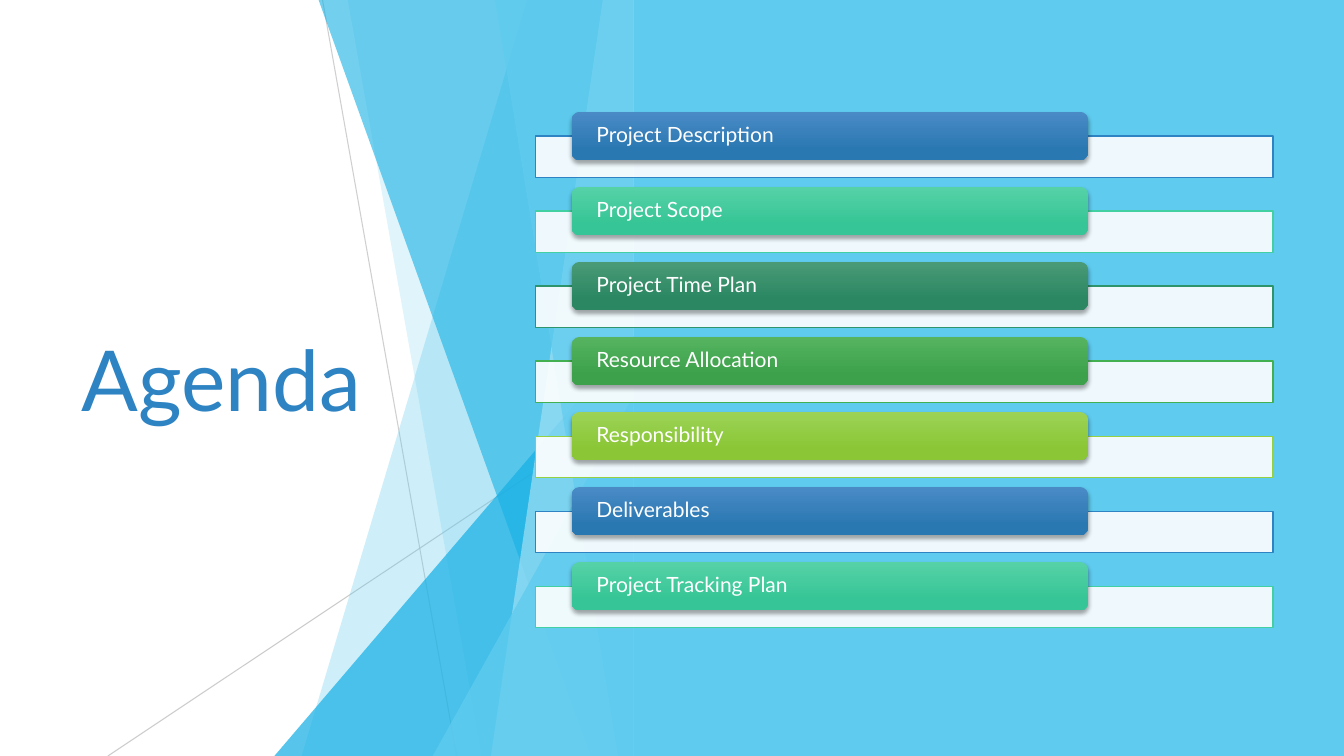
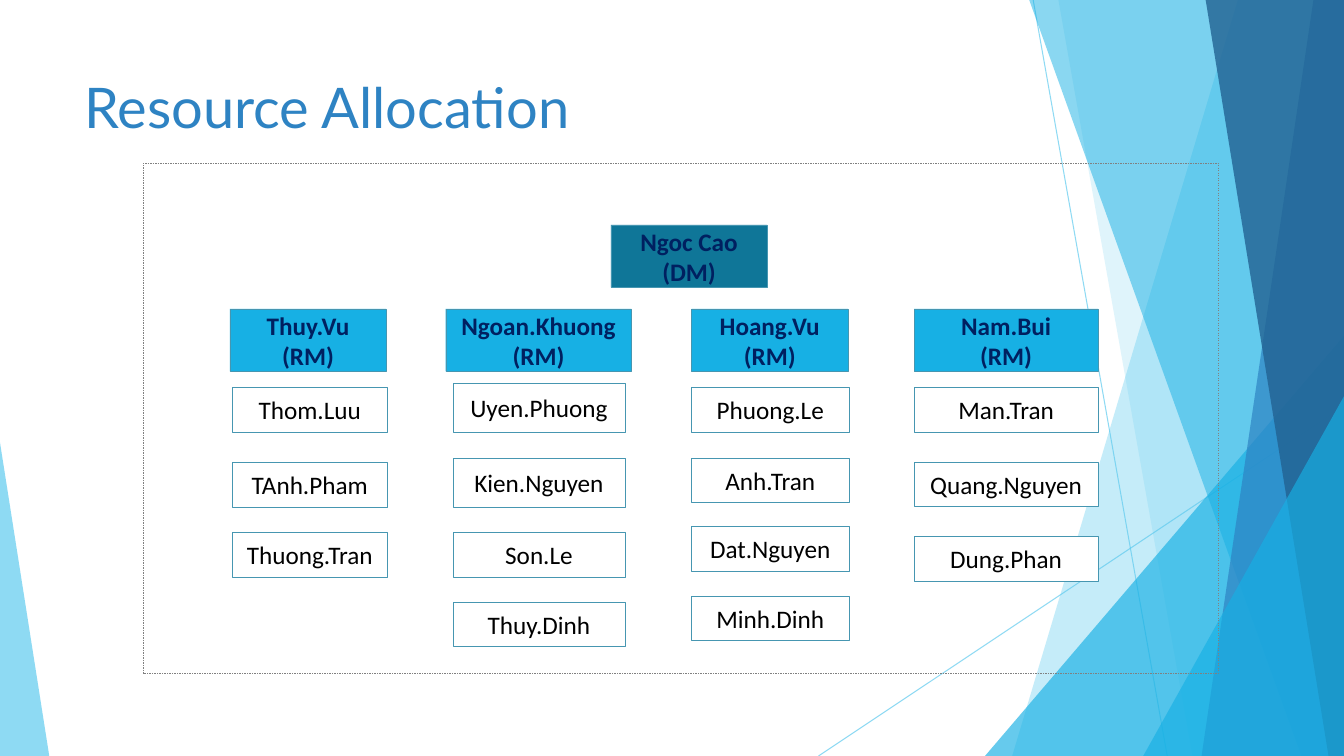
from lxml import etree
from pptx import Presentation
from pptx import util as u
from pptx.dml.color import RGBColor
from pptx.enum import dml, shapes, text
from pptx.oxml.ns import qn

Pt = u.Pt
W, H = 960, 540

# Colours
WHITE = RGBColor(0xFF, 0xFF, 0xFF)
BLACK = RGBColor(0, 0, 0)
GREY = RGBColor(0x80, 0x80, 0x80)
SILVER = RGBColor(0xBF, 0xBF, 0xBF)
SKY = RGBColor(0x5F, 0xCB, 0xEF)
PALE = RGBColor(0x9F, 0xE0, 0xF5)
CYAN = RGBColor(0x17, 0xB0, 0xE4)
BLUE = RGBColor(0x2E, 0x83, 0xC3)
DEEP = RGBColor(0x22, 0x62, 0x92)
TEAL = RGBColor(0x0F, 0x76, 0x98)
EDGE = RGBColor(0x46, 0x96, 0xB1)
NAVY = RGBColor(0, 0x20, 0x60)

# Agenda bars: outline, gradient top, gradient bottom
BAR_COLORS = [
    (BLUE, RGBColor(0x4A, 0x8B, 0xC6), RGBColor(0x2A, 0x78, 0xB2)),
    (RGBColor(0x42, 0xD0, 0xA2), RGBColor(0x56, 0xD2, 0xA7), RGBColor(0x36, 0xC5, 0x96)),
    (RGBColor(0x2E, 0x94, 0x6B), RGBColor(0x4A, 0x9A, 0x76), RGBColor(0x2A, 0x87, 0x62)),
    (RGBColor(0x42, 0xB0, 0x51), RGBColor(0x56, 0xB4, 0x61), RGBColor(0x3C, 0xA1, 0x4A)),
    (RGBColor(0x96, 0xD1, 0x41), RGBColor(0x9C, 0xD3, 0x56), RGBColor(0x8A, 0xC6, 0x35)),
]

RECT = shapes.MSO_SHAPE.RECTANGLE
ROUND = shapes.MSO_SHAPE.ROUNDED_RECTANGLE
TRIANGLE = shapes.MSO_SHAPE.ISOSCELES_TRIANGLE
LEFT, CENTER = text.PP_ALIGN.LEFT, text.PP_ALIGN.CENTER
TOP, MIDDLE = text.MSO_ANCHOR.TOP, text.MSO_ANCHOR.MIDDLE


def set_alpha(holder, percent):
    color = holder.find(qn("a:solidFill"))[0]
    etree.SubElement(color, qn("a:alpha"), val=str(percent * 1000))


class Deck:
    """Holds the presentation, its style and the current slide."""
    head_font, body_font = "Lato", "Calibri"

    def __init__(self):
        self.prs = Presentation()
        self.prs.slide_width, self.prs.slide_height = Pt(W), Pt(H)

    def new_slide(self):
        self.s = self.prs.slides.add_slide(self.prs.slide_layouts[5])

    def add_lines(self, tf, lines, font, size, color, bold=False, align=LEFT, anchor=MIDDLE):
        tf.word_wrap = True
        tf.auto_size = text.MSO_AUTO_SIZE.NONE
        tf.vertical_anchor = anchor
        for i, line in enumerate(lines):
            p = tf.add_paragraph() if i else tf.paragraphs[0]
            p.alignment = align
            r = p.add_run()
            r.text = line
            r.font.name, r.font.size, r.font.bold = font, Pt(size), bold
            r.font.color.rgb = color

    def title(self, words, x, y, w, h, size, anchor):
        sp = self.s.shapes.title
        sp.left, sp.top, sp.width, sp.height = Pt(x), Pt(y), Pt(w), Pt(h)
        self.add_lines(sp.text_frame, [words], self.head_font, size, BLUE, anchor=anchor)
        sp.element.getparent().append(sp.element)  # bring above the facets

    def paint(self, sp, fill=None, alpha=100, line=None, width=0.25):
        sp.shadow.inherit = False
        if fill is None:
            sp.fill.background()
        else:
            sp.fill.solid()
            sp.fill.fore_color.rgb = fill
            if alpha < 100:
                set_alpha(sp.element.spPr, alpha)
        if line is None:
            sp.line.fill.background()
        else:
            sp.line.color.rgb = line
            sp.line.width = Pt(width)
        return sp

    def shape(self, kind, x, y, w, h, **look):
        sp = self.s.shapes.add_shape(kind, Pt(x), Pt(y), Pt(w), Pt(h))
        return self.paint(sp, **look)

    def triangle(self, x, y, w, h, apex, fill, alpha):
        sp = self.shape(TRIANGLE, x, y, w, h, fill=fill, alpha=alpha)
        sp.adjustments[0] = apex

    def band(self, top_x, bottom_x, right, fill, alpha):
        points = [(right, 0), (right, H), (bottom_x, H)]
        fb = self.s.shapes.build_freeform(Pt(top_x), 0, scale=1.0)
        fb.add_line_segments([(Pt(x), Pt(y)) for x, y in points], close=True)
        self.paint(fb.convert_to_shape(), fill=fill, alpha=alpha)

    def line(self, x1, y1, x2, y2, color, alpha):
        c = self.s.shapes.add_connector(
            shapes.MSO_CONNECTOR.STRAIGHT, Pt(x1), Pt(y1), Pt(x2), Pt(y2))
        c.line.color.rgb, c.line.width = color, Pt(0.75)
        spPr = c.element.spPr
        set_alpha(spPr.find(qn("a:ln")), alpha)
        etree.SubElement(spPr, qn("a:effectLst"))

    def facets(self, right, lines, fills):
        """Slanted backdrop ending at right; looks are (colour, alpha) pairs."""
        d = right - W
        self.line(738 + d, 0, 833.76 + d, H, *lines[0])
        self.line(right, 290, 584.64 + d, H, *lines[1])
        self.band(884.2 + d, 723 + d, right, *fills[0])
        self.band(756 + d, 851.8 + d, right, *fills[1])
        self.triangle(703.6 + d, 239.8, 256.4, 300.2, 1, *fills[2])
        self.band(735.2 + d, 929.5 + d, right, *fills[3])
        self.band(938.2 + d, 858.3 + d, right, *fills[4])
        self.band(861.2 + d, 949 + d, right, *fills[5])
        self.triangle(816.6 + d, 283, 143.4, 257, 1, *fills[6])

    def agenda_bar(self, y, label, outline, top, bottom):
        self.shape(RECT, 382.4, y + 17.4, 527, 29.6, fill=WHITE, alpha=90,
                   line=outline, width=1)
        sp = self.shape(ROUND, 408.4, y, 368.8, 34.6)
        sp.fill.gradient()
        sp.fill.gradient_angle = 270
        for stop, color, position in zip(sp.fill.gradient_stops, (top, bottom), (0, 0.78)):
            stop.color.rgb, stop.position = color, position
        shadow = etree.SubElement(
            sp.element.spPr.find(qn("a:effectLst")), qn("a:outerShdw"),
            blurRad=str(int(Pt(3))), dist=str(int(Pt(2))), dir="5400000", rotWithShape="0")
        color = etree.SubElement(shadow, qn("a:srgbClr"), val=str(BLACK))
        etree.SubElement(color, qn("a:alpha"), val="35000")
        tf = sp.text_frame
        tf.margin_left = tf.margin_right = Pt(16)
        tf.margin_top = tf.margin_bottom = 0
        self.add_lines(tf, [label], self.head_font, 15, WHITE)
        tf.paragraphs[0].line_spacing = 0.9

    def person(self, x, y, w, h, lines, fill=WHITE, color=BLACK, bold=False):
        sp = self.shape(RECT, x, y, w, h, fill=fill, line=EDGE)
        self.add_lines(sp.text_frame, lines, self.body_font, 18, color, bold, CENTER)

    def lead(self, x, y, w, lines, fill=CYAN):
        self.person(x, y, w, 44.8, lines, fill, NAVY, True)


deck = Deck()

# Slide 1: agenda
PANEL_X = 452.4
deck.new_slide()
deck.facets(PANEL_X, [(SILVER, 75), (SILVER, 80)],
            [(SKY, 30), (SKY, 20), (CYAN, 72), (CYAN, 60), (PALE, 70), (SKY, 65), (SKY, 80)])
deck.title("Agenda", 51, 108.6, 279.4, 322.6, 60, MIDDLE)
deck.shape(RECT, PANEL_X, 0, W - PANEL_X, H, fill=SKY)
topics = ["Project Description", "Project Scope", "Project Time Plan",
          "Resource Allocation", "Responsibility", "Deliverables",
          "Project Tracking Plan"]
for i, topic in enumerate(topics):
    deck.agenda_bar(79.8 + 53.6 * i, topic, *BAR_COLORS[i % len(BAR_COLORS)])

# Slide 2: resource allocation
deck.new_slide()
deck.facets(W, [(SKY, 70), (SKY, 70)],
            [(SKY, 36), (SKY, 20), (CYAN, 66), (CYAN, 50), (BLUE, 70), (DEEP, 80), (CYAN, 66)])
deck.triangle(0, 316, 35.2, 224, 0, SKY, 70)
deck.title("Resource Allocation", 53.2, 48.2, 676.8, 71.2, 40, TOP)
frame = deck.shape(RECT, 102.2, 116.6, 768.2, 364.4, line=GREY)
frame.line.dash_style = dml.MSO_LINE.DASH
deck.lead(436.4, 160.6, 111.6, ["Ngoc Cao", "(DM)"], TEAL)

# Teams: lead (x, width, lines), members (x, width, then name, top, height)
teams = [
    ((164.2, 111.6, ["Thuy.Vu (RM)"]), (166, 110.6,
     [("Thom.Luu", 276.5, 32.2), ("TAnh.Pham", 329.8, 32.2), ("Thuong.Tran", 380.2, 32)])),
    ((318.4, 132.6, ["Ngoan.Khuong", "(RM)"]), (323.4, 123.2,
     [("Uyen.Phuong", 273.6, 35.2), ("Kien.Nguyen", 327, 35.2),
      ("Son.Le", 380.2, 32), ("Thuy.Dinh", 429.8, 32)])),
    ((494, 111.6, ["Hoang.Vu", "(RM)"]), (494, 112.4,
     [("Phuong.Le", 276.5, 32.2), ("Anh.Tran", 327, 32),
      ("Dat.Nguyen", 375.8, 32), ("Minh.Dinh", 425.5, 32)])),
    ((653, 131.4, ["Nam.Bui", "(RM)"]), (653, 131.4,
     [("Man.Tran", 276.5, 32), ("Quang.Nguyen", 329.8, 32), ("Dung.Phan", 383, 32)])),
]
for (lead_x, lead_w, lines), (x, w, members) in teams:
    deck.lead(lead_x, 220.6, lead_w, lines)
    for name, top, height in members:
        deck.person(x, top, w, height, [name])

deck.prs.save("out.pptx")
